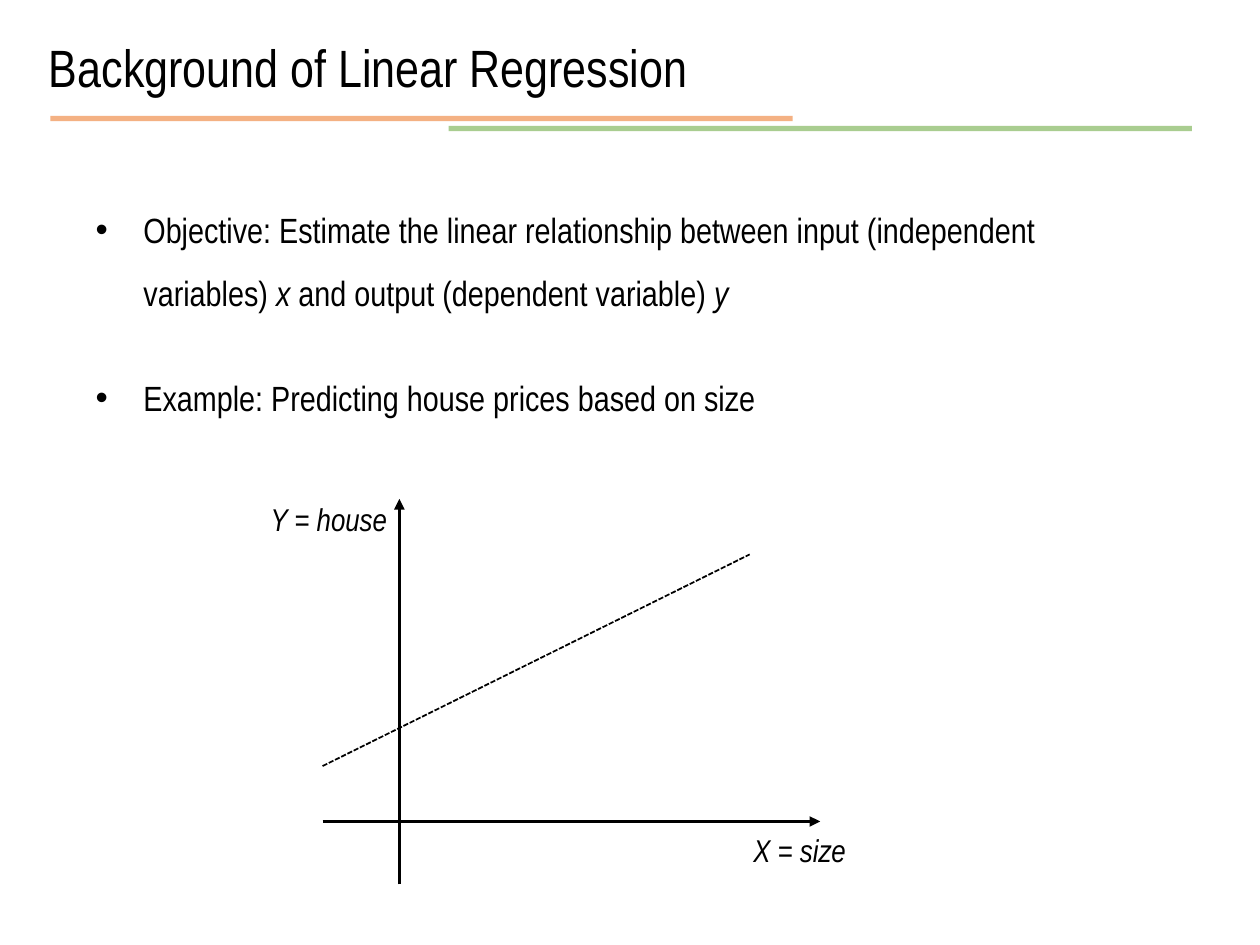
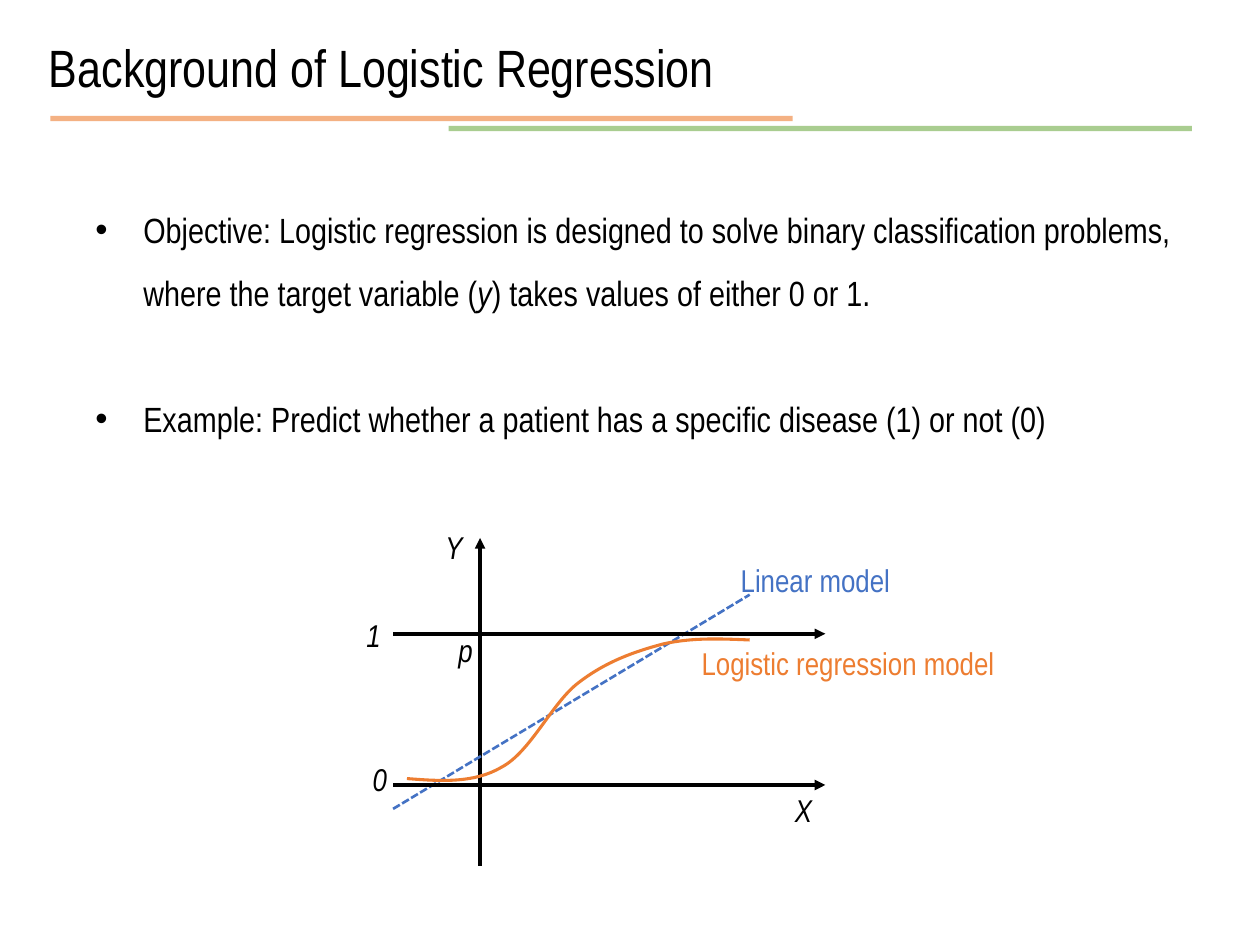
from dataclasses import dataclass
from typing import Optional

from pptx import Presentation
from pptx.dml.color import RGBColor
from pptx.enum.dml import MSO_LINE
from pptx.enum.shapes import MSO_CONNECTOR
from pptx.enum.text import MSO_AUTO_SIZE as FIT, PP_ALIGN as ALIGN
from pptx.oxml.ns import qn
from pptx.oxml.xmlchemy import OxmlElement as Element
from pptx.util import Emu, Pt

EMU_PER_PX = 9144  # 100 px to the inch


@dataclass(frozen=True)
class Theme:
    font: str = "Arial Narrow"
    title_size: int = 30
    body_size: int = 20
    label_size: int = 18
    black: str = "000000"
    orange: str = "ED7D31"
    green: str = "70AD47"
    blue: str = "4472C4"


THEME = Theme()


@dataclass(frozen=True)
class Line:
    x1: int
    y1: int
    x2: int
    y2: int
    color: str = THEME.black
    width: float = 2
    dashed: bool = False
    arrow: bool = False
    opacity: Optional[int] = None


@dataclass(frozen=True)
class Label:
    text: str
    x: int
    y: int
    w: int
    h: int = 40
    color: str = THEME.black
    italic: bool = True
    align: ALIGN = ALIGN.LEFT


@dataclass(frozen=True)
class Body:
    bullets: tuple[str, ...]  # *...* marks italics
    w: int
    h: int
    gap: int  # points between bullets


@dataclass(frozen=True)
class Curve:
    start: tuple[int, int]
    beziers: tuple[tuple[int, int], ...]  # three points per segment
    color: str
    width: float


RULES = (
    Line(40, 94, 629, 94, THEME.orange, 3, opacity=60),
    Line(356, 102, 946, 102, THEME.green, 3, opacity=60),
)


def px(n: int) -> Emu:
    return Emu(n * EMU_PER_PX)


def style_font(font, size: int, color: str = THEME.black, italic: bool = False) -> None:
    font.name, font.size, font.italic = THEME.font, Pt(size), italic
    font.color.rgb = RGBColor.from_string(color)


def add_box(s, x: int, y: int, w: int, h: int, wrap: bool = True):
    tf = s.shapes.add_textbox(px(x), px(y), px(w), px(h)).text_frame
    tf.word_wrap = wrap
    tf.auto_size = FIT.SHAPE_TO_FIT_TEXT
    return tf


def add_line(s, line: Line) -> None:
    c = s.shapes.add_connector(MSO_CONNECTOR.STRAIGHT, px(line.x1), px(line.y1),
                               px(line.x2), px(line.y2))
    c.line.width = Pt(line.width)
    c.line.color.rgb = RGBColor.from_string(line.color)
    ln = c.line._get_or_add_ln()
    if line.opacity is not None:
        alpha = Element("a:alpha")
        alpha.set("val", str(line.opacity * 1000))
        ln.find(".//" + qn("a:srgbClr")).append(alpha)
    if line.dashed:
        c.line.dash_style = MSO_LINE.SQUARE_DOT
    if line.arrow:
        tail = Element("a:tailEnd")
        tail.set("type", "triangle")
        ln.append(tail)
    c._element.spPr.append(Element("a:effectLst"))


def add_label(s, label: Label) -> None:
    tf = add_box(s, label.x, label.y, label.w, label.h)
    tf.text = label.text
    p = tf.paragraphs[0]
    p.alignment = label.align
    style_font(p.runs[0].font, THEME.label_size, label.color, label.italic)


def add_curve(s, curve: Curve) -> None:
    builder = s.shapes.build_freeform(*curve.start, scale=EMU_PER_PX)
    builder.add_line_segments(curve.beziers, close=False)
    sp = builder.convert_to_shape()
    sp.shadow.inherit = False
    sp.fill.background()
    sp.line.color.rgb = RGBColor.from_string(curve.color)
    sp.line.width = Pt(curve.width)
    # Turn every three straight steps into one cubic segment
    steps = list(sp._element.iter(qn("a:lnTo")))
    for i in range(0, len(steps), 3):
        cubic = Element("a:cubicBezTo")
        steps[i].addprevious(cubic)
        for step in steps[i:i + 3]:
            cubic.append(step[0])
            step.getparent().remove(step)


def add_bullet(p) -> None:
    pPr = p._p.get_or_add_pPr()
    pPr.set("marL", str(px(38)))
    pPr.set("indent", str(-px(38)))
    font, char = Element("a:buFont"), Element("a:buChar")
    font.set("typeface", "Arial")
    char.set("char", "•")
    pPr.extend((font, char))


def add_body(s, body: Body) -> None:
    tf = add_box(s, 66, 144, body.w, body.h)
    for i, bullet in enumerate(body.bullets):
        p = tf.add_paragraph() if i else tf.paragraphs[0]
        add_bullet(p)
        p.line_spacing = 1.5
        if i:
            p.space_before = Pt(body.gap)
        for j, part in enumerate(bullet.split("*")):
            if part:
                r = p.add_run()
                r.text = part
                style_font(r.font, THEME.body_size, italic=j % 2 == 1)


DRAW = {Line: add_line, Label: add_label, Curve: add_curve}


def add_slide(prs, title: str, title_w: int, body: Body, diagram: tuple) -> None:
    s = prs.slides.add_slide(prs.slide_layouts[6])
    # Header
    for rule in RULES:
        add_line(s, rule)
    tf = add_box(s, 29, 23, title_w, 61, wrap=False)
    tf.text = title
    style_font(tf.paragraphs[0].runs[0].font, THEME.title_size)
    # Content
    add_body(s, body)
    for part in diagram:
        DRAW[type(part)](s, part)


LINEAR_BODY = Body((
    "Objective: Estimate the linear relationship between input (independent variables) "
    "*x* and output (dependent variable) *y*",
    "Example: Predicting house prices based on size",
), 858, 189, gap=24)

LINEAR_DIAGRAM = (
    Line(256, 652, 651, 652, arrow=True),
    Line(317, 702, 317, 396, arrow=True),
    Line(256, 608, 595, 440, width=1, dashed=True),
    Label("X = size", 588, 655, 111),
    Label("Y = house", 186, 392, 131, align=ALIGN.RIGHT),
)

LOGISTIC_BODY = Body((
    "Objective: Logistic regression is designed to solve binary classification problems, "
    "where the target variable (*y*) takes values of either 0 or 1.",
    "Example: Predict whether a patient has a specific disease (1) or not (0)",
), 916, 206, gap=36)

LOGISTIC_DIAGRAM = (
    # Axes and the linear model
    Line(381, 687, 381, 427, arrow=True),
    Line(312, 642, 595, 472, THEME.blue, 1.5, dashed=True),
    *(Line(312, y, 655, y, arrow=True) for y in (623, 503)),
    # Axis labels
    Label("X", 621, 623, 46, 51),
    Label("Y", 335, 414, 42, 51, align=ALIGN.RIGHT),
    Label("0", 286, 598, 26, 51),
    Label("1", 281, 484, 31, 51),
    Label("p", 343, 496, 42, 51, align=ALIGN.RIGHT),
    # Logistic model
    Curve((323, 618), (
        (349, 620), (376, 622), (398, 609),
        (421, 597), (438, 558), (459, 542),
        (481, 525), (504, 517), (527, 511),
        (550, 506), (572, 507), (595, 508),
    ), THEME.orange, 1.75),
    # Model names
    Label("Linear model", 578, 440, 171, color=THEME.blue, italic=False),
    Label("Logistic regression model", 547, 506, 283, color=THEME.orange, italic=False),
)


def main() -> None:
    prs = Presentation()
    prs.slide_width, prs.slide_height = px(1000), px(750)
    add_slide(prs, "Background of Linear Regression", 531, LINEAR_BODY, LINEAR_DIAGRAM)
    add_slide(prs, "Background of Logistic Regression", 552, LOGISTIC_BODY, LOGISTIC_DIAGRAM)
    prs.save("out.pptx")


if __name__ == "__main__":
    main()
